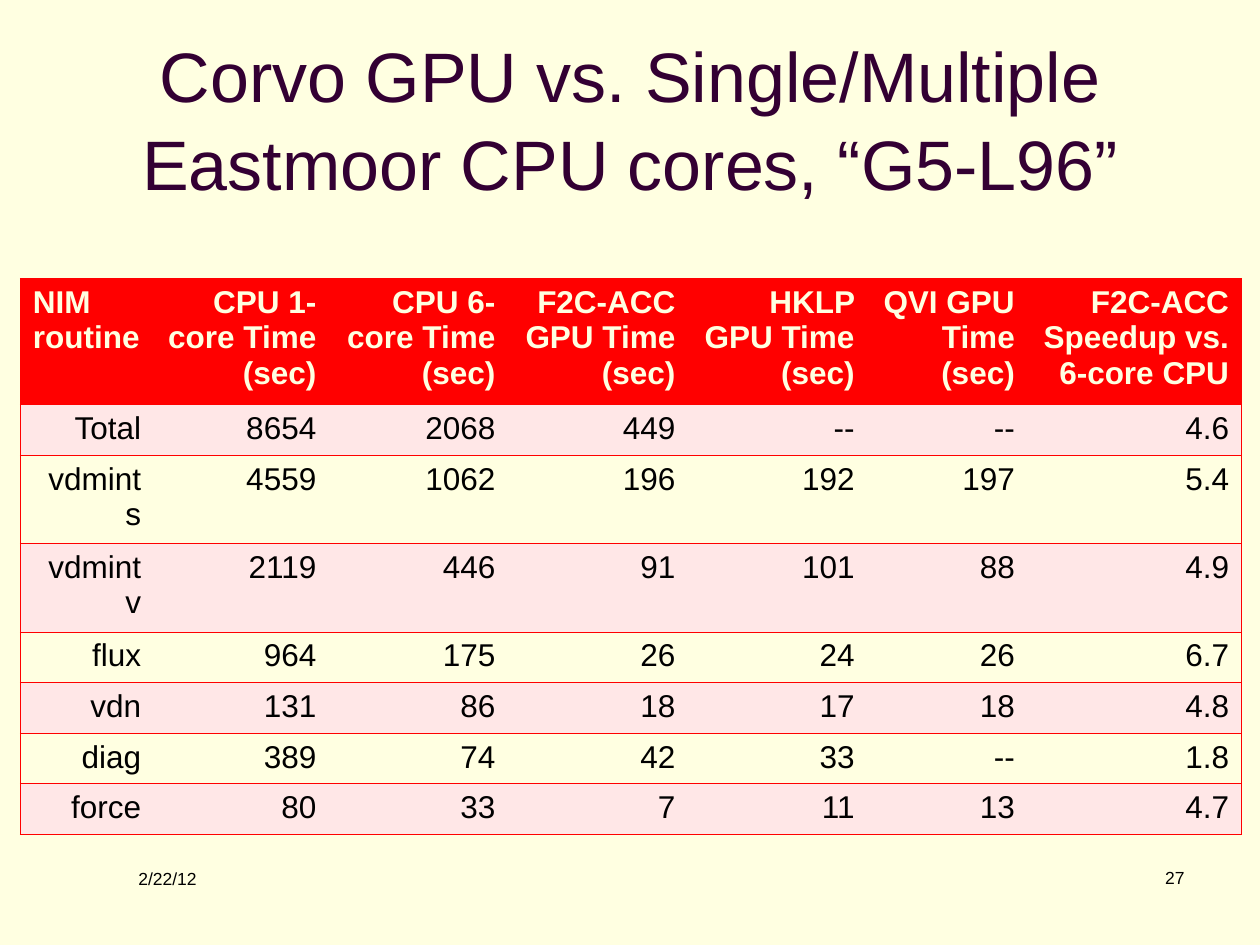
from pptx import Presentation
from pptx import util as u
from pptx.dml.color import RGBColor
from pptx.enum import text
from pptx.oxml import parse_xml
from pptx.oxml.ns import nsdecls

COLORS = {"paper": "FFFFE1", "title": "330033", "red": "FF0000", "pink": "FFE7E7", "ink": "000000"}
LEFT, CENTER, RIGHT = text.PP_ALIGN.LEFT, text.PP_ALIGN.CENTER, text.PP_ALIGN.RIGHT


def write(frame, words, color, align, **font_format):
    para = frame.paragraphs[0]
    para.alignment = align
    span = para.add_run()
    span.text = words
    for name, value in {"name": "Arial", **font_format}.items():
        setattr(span.font, name, value)
    span.font.color.rgb = RGBColor.from_string(COLORS[color])


def add_borders(cell, red_sides):
    for index, side in enumerate("LRTB"):
        fill = "<a:noFill/>"
        if side in red_sides:
            fill = f'<a:solidFill><a:srgbClr val="{COLORS["red"]}"/></a:solidFill>'
        line = parse_xml(f'<a:ln{side} {nsdecls("a")} w="{u.Pt(0.45)}">{fill}</a:ln{side}>')
        cell._tc.get_or_add_tcPr().insert(index, line)


deck = Presentation()
deck.slide_width, deck.slide_height = u.Cm(25.4), u.Cm(19.05)
page = deck.slides.add_slide(deck.slide_layouts[5])
page.background.fill.solid()
page.background.fill.fore_color.rgb = RGBColor.from_string(COLORS["paper"])

title = page.shapes.title
for name, length in {"left": 1.9, "top": 0.76, "width": 21.6, "height": 3.18}.items():
    setattr(title, name, u.Cm(length))
frame_format = {
    "auto_size": text.MSO_AUTO_SIZE.NONE,
    "vertical_anchor": text.MSO_ANCHOR.MIDDLE,
    "word_wrap": True,
}
for name, value in frame_format.items():
    setattr(title.text_frame, name, value)
write(title.text_frame, "Corvo GPU vs. Single/Multiple Eastmoor CPU cores, “G5-L96”",
      "title", CENTER, size=u.Pt(40))
title.text_frame.paragraphs[0].line_spacing = 1.05

timings = [
    ["NIM routine", "CPU 1-core Time (sec)", "CPU 6-core Time (sec)", "F2C-ACC GPU Time (sec)",
     "HKLP GPU Time (sec)", "QVI GPU Time (sec)", "F2C-ACC Speedup vs. 6-core CPU"],
    ["Total", "8654", "2068", "449", "--", "--", "4.6"],
    ["vdmints", "4559", "1062", "196", "192", "197", "5.4"],
    ["vdmintv", "2119", "446", "91", "101", "88", "4.9"],
    ["flux", "964", "175", "26", "24", "26", "6.7"],
    ["vdn", "131", "86", "18", "17", "18", "4.8"],
    ["diag", "389", "74", "42", "33", "--", "1.8"],
    ["force", "80", "33", "7", "11", "13", "4.7"],
]
widths = [2.69, 3.53, 3.61, 3.63, 3.61, 3.23, 4.32]
heights = [2.54, 1.02, 1.78, 1.78, 1.02, 1.02, 1.02, 1.02]
table = page.shapes.add_table(
    len(heights), len(widths), u.Cm(0.41), u.Cm(5.62), u.Cm(sum(widths)), u.Cm(sum(heights))
).table
for column, width in zip(table.columns, widths):
    column.width = u.Cm(width)
for row, height in zip(table.rows, heights):
    row.height = u.Cm(height)

last = len(widths) - 1
for r, values in enumerate(timings):
    header = r == 0
    fill = "red" if header else ("paper", "pink")[r % 2]
    for c, value in enumerate(values):
        cell = table.cell(r, c)
        cell.fill.solid()
        cell.fill.fore_color.rgb = RGBColor.from_string(COLORS[fill])
        add_borders(cell, "TB" + "L" * (c == 0) + "R" * (c == last))
        write(cell.text_frame, value, "paper" if header else "ink",
              LEFT if header and c == 0 else RIGHT, size=u.Pt(18), bold=header)

footers = [("2/22/12", 2.54, 17.37, 5.51, LEFT), ("27", 18.85, 17.35, 5.28, RIGHT)]
for words, left, top, width, align in footers:
    box = page.shapes.add_textbox(u.Cm(left), u.Cm(top), u.Cm(width), u.Cm(1.27))
    box.text_frame.word_wrap = True
    write(box.text_frame, words, "ink", align, size=u.Pt(10))

deck.save("out.pptx")
